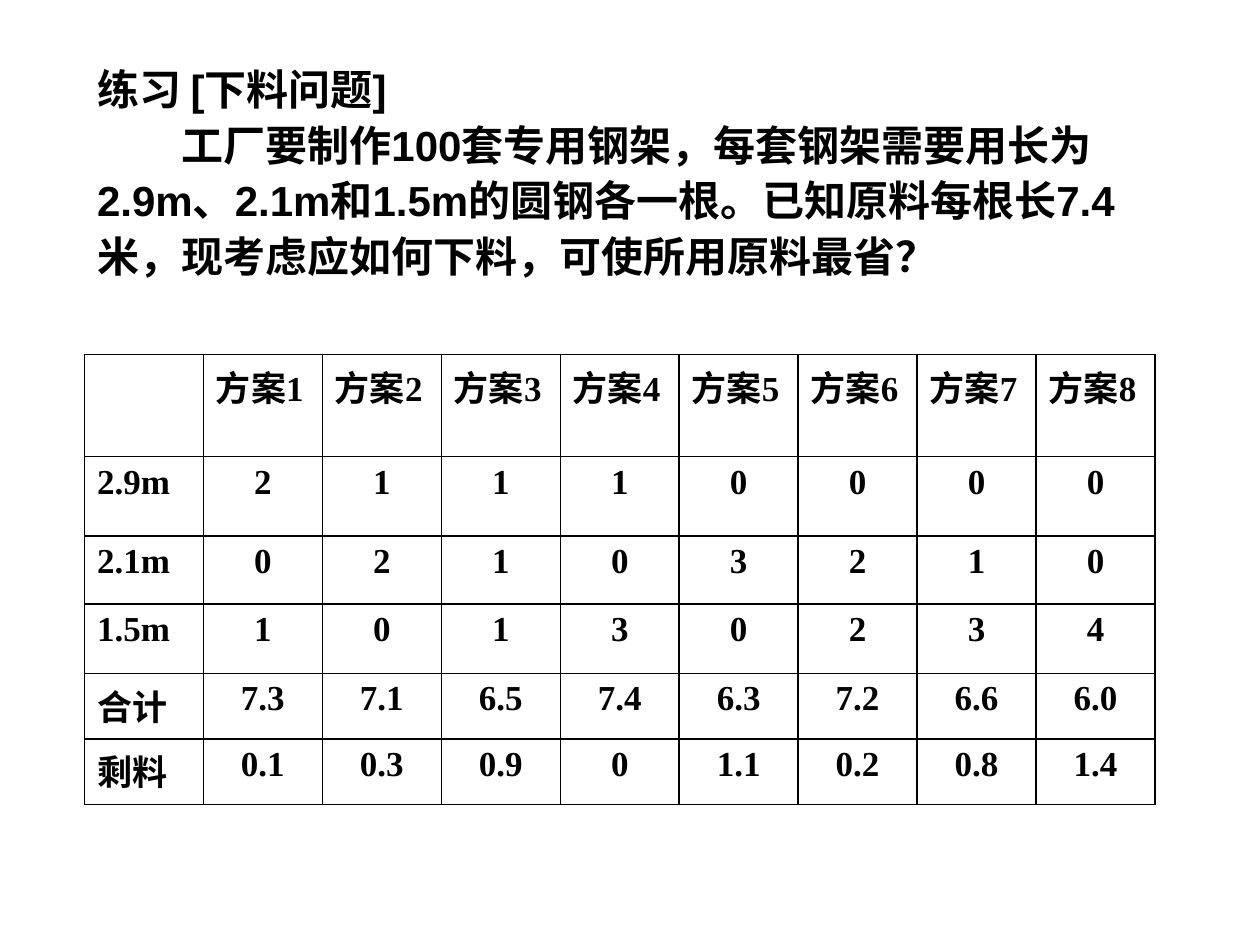
from lxml import etree
from pptx import Presentation
from pptx import util as u
from pptx.dml.color import RGBColor
from pptx.enum import text
from pptx.oxml import ns

COLOURS = {"paper": "FFFFFF", "ink": "000000"}
WIDTH, HEIGHT = u.Inches(10), u.Inches(7.5)

HEADING = "练习 [下料问题]"
PROBLEM = ("工厂要制作100套专用钢架，每套钢架需要用长为2.9m、2.1m和1.5m的圆钢各一根。"
           "已知原料每根长7.4米，现考虑应如何下料，可使所用原料最省？")
PLANS = [
    [""] + [f"方案{number}" for number in range(1, 9)],
    ["2.9m", "2", "1", "1", "1", "0", "0", "0", "0"],
    ["2.1m", "0", "2", "1", "0", "3", "2", "1", "0"],
    ["1.5m", "1", "0", "1", "3", "0", "2", "3", "4"],
    ["合计", "7.3", "7.1", "6.5", "7.4", "6.3", "7.2", "6.6", "6.0"],
    ["剩料", "0.1", "0.3", "0.9", "0", "1.1", "0.2", "0.8", "1.4"],
]
ROW_HEIGHTS = [0.56, 0.63, 0.54, 0.55, 0.52, 0.52]


def share(left, top, width, height):
    """Turn shares of the slide into a box of lengths."""
    return (round(left * WIDTH), round(top * HEIGHT),
            round(width * WIDTH), round(height * HEIGHT))


def set_indent(para, left, first):
    properties = para._p.get_or_add_pPr()
    properties.set("marL", str(u.Inches(left)))
    properties.set("indent", str(u.Inches(first)))


def add_span(para, words, font, size):
    span = para.add_run()
    span.text = words
    span.font.name, span.font.size, span.font.bold = font, u.Pt(size), True
    span.font.color.rgb = RGBColor.from_string(COLOURS["ink"])


def add_borders(cell):
    properties = cell._tc.get_or_add_tcPr()
    for position, side in enumerate(("lnL", "lnR", "lnT", "lnB")):
        line = etree.Element(ns.qn(f"a:{side}"), w=str(u.Pt(1)))
        fill = etree.SubElement(line, ns.qn("a:solidFill"))
        etree.SubElement(fill, ns.qn("a:srgbClr"), val=COLOURS["ink"])
        properties.insert(position, line)


def place_problem(page, box):
    title = page.shapes.title
    title.left, title.top, title.width, title.height = box
    frame = title.text_frame
    frame.word_wrap = True
    frame.auto_size = text.MSO_AUTO_SIZE.NONE
    frame.vertical_anchor = text.MSO_ANCHOR.MIDDLE
    # The problem statement starts two characters in
    for para, words, first in ((frame.paragraphs[0], HEADING, 0),
                               (frame.add_paragraph(), PROBLEM, 0.67)):
        set_indent(para, 0, first)
        para.alignment = text.PP_ALIGN.LEFT
        para.line_spacing = 1.1
        para.space_before = u.Pt(0)
        add_span(para, words, "Arial", 24)


def place_plans(page, box):
    table = page.shapes.add_table(len(PLANS), len(PLANS[0]), *box).table
    table.first_row = table.horz_banding = False
    for column in table.columns:
        column.width = box[2] // len(PLANS[0])
    for row, height in zip(table.rows, ROW_HEIGHTS):
        row.height = u.Inches(height)
    for r, values in enumerate(PLANS):
        for c, value in enumerate(values):
            cell = table.cell(r, c)
            cell.fill.background()
            add_borders(cell)
            if not value:
                continue
            para = cell.text_frame.paragraphs[0]
            set_indent(para, 0.38, -0.38)
            # Only the numbers are centred
            centred = r > 0 and c > 0
            para.alignment = text.PP_ALIGN.CENTER if centred else text.PP_ALIGN.LEFT
            add_span(para, value, "Times New Roman", 20)


def main():
    deck = Presentation()
    deck.slide_width, deck.slide_height = WIDTH, HEIGHT
    page = deck.slides.add_slide(deck.slide_layouts.get_by_name("Title Only"))
    page.background.fill.solid()
    page.background.fill.fore_color.rgb = RGBColor.from_string(COLOURS["paper"])
    place_problem(page, share(0.067, 0.048, 0.858, 0.263))
    place_plans(page, share(0.067, 0.375, 0.85, 0.443))
    deck.save("out.pptx")


if __name__ == "__main__":
    main()
